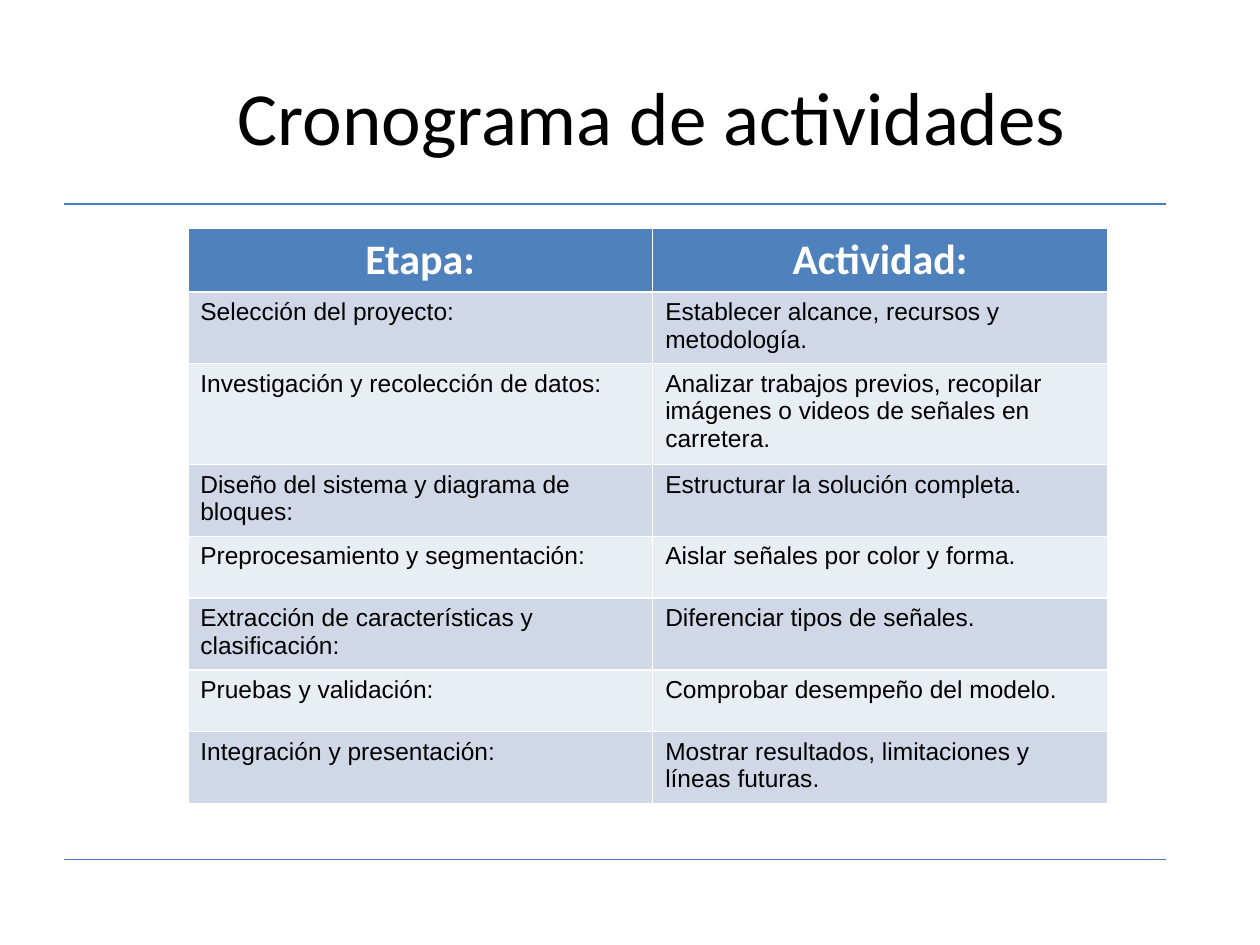
from dataclasses import dataclass

from lxml import etree
from pptx import Presentation, util as u
from pptx.dml.color import RGBColor
from pptx.enum import shapes, text
from pptx.oxml.ns import qn

# Content: stage, activity, number of text lines in the row
TITLE = "Cronograma de actividades"
HEADER = ("Etapa:", "Actividad:")
STAGES = [
    ("Selección del proyecto:", "Establecer alcance, recursos y metodología.", 2),
    ("Investigación y recolección de datos:",
     "Analizar trabajos previos, recopilar imágenes o videos de señales en carretera.", 3),
    ("Diseño del sistema y diagrama de bloques:", "Estructurar la solución completa.", 2),
    ("Preprocesamiento y segmentación:", "Aislar señales por color y forma.", 1),
    ("Extracción de características y clasificación:", "Diferenciar tipos de señales.", 2),
    ("Pruebas y validación:", "Comprobar desempeño del modelo.", 1),
    ("Integración y presentación:", "Mostrar resultados, limitaciones y líneas futuras.", 2),
]


@dataclass(frozen=True)
class Theme:
    heading_font: str = "Calibri"
    body_font: str = "Arial"
    title_size: float = 42.9
    header_size: float = 24
    body_size: float = 14
    black: str = "000000"
    white: str = "FFFFFF"
    rule: str = "4A7DBA"
    header_fill: str = "4F81BD"
    bands: tuple = ("D0D8E8", "E9EDF4")


THEME = Theme()

# Layout in inches
TITLE_BOX = (0.67, 0.29, 9, 1.25)
RULE_LEFT, RULE_RIGHT = 0.51, 9.25
RULE_TOPS = (1.62, 6.82)
TABLE_LEFT, TABLE_TOP = 1.49, 1.81
COLUMN_WIDTHS = (3.69, 3.61)
HEADER_HEIGHT = 0.5
HEIGHT_BY_LINES = {1: 0.49, 2: 0.57, 3: 0.8}


def style_text(frame, font, size, color, bold=False, align=text.PP_ALIGN.LEFT):
    for paragraph in frame.paragraphs:
        paragraph.alignment = align
        for run in paragraph.runs:
            run.font.name = font
            run.font.size = u.Pt(size)
            run.font.bold = bold
            run.font.color.rgb = RGBColor.from_string(color)


def add_rule(slide, top):
    rule = slide.shapes.add_connector(
        shapes.MSO_CONNECTOR.STRAIGHT,
        u.Inches(RULE_LEFT), u.Inches(top), u.Inches(RULE_RIGHT), u.Inches(top))
    rule.line.color.rgb = RGBColor.from_string(THEME.rule)
    rule.line.width = u.Pt(0.75)
    etree.SubElement(rule._element.spPr, qn("a:effectLst"))


def add_title(slide):
    title = slide.shapes.title
    title.left, title.top, title.width, title.height = map(u.Inches, TITLE_BOX)
    frame = title.text_frame
    frame.text = TITLE
    frame.auto_size = text.MSO_AUTO_SIZE.NONE
    frame.vertical_anchor = text.MSO_ANCHOR.MIDDLE
    style_text(frame, THEME.heading_font, THEME.title_size, THEME.black,
               align=text.PP_ALIGN.CENTER)


def add_schedule(slide):
    heights = [HEADER_HEIGHT] + [HEIGHT_BY_LINES[lines] for *_, lines in STAGES]
    rows = [HEADER] + [stage[:2] for stage in STAGES]
    table = slide.shapes.add_table(
        len(rows), len(HEADER), u.Inches(TABLE_LEFT), u.Inches(TABLE_TOP),
        u.Inches(sum(COLUMN_WIDTHS)), u.Inches(sum(heights))).table
    for column, width in zip(table.columns, COLUMN_WIDTHS):
        column.width = u.Inches(width)

    for index, (row, height, values) in enumerate(zip(table.rows, heights, rows)):
        row.height = u.Inches(height)
        is_header = index == 0
        fill = THEME.header_fill if is_header else THEME.bands[(index - 1) % 2]
        for cell, value in zip(row.cells, values):
            cell.fill.solid()
            cell.fill.fore_color.rgb = RGBColor.from_string(fill)
            cell.text_frame.text = value
            if is_header:
                style_text(cell.text_frame, THEME.heading_font, THEME.header_size,
                           THEME.white, bold=True, align=text.PP_ALIGN.CENTER)
            else:
                style_text(cell.text_frame, THEME.body_font, THEME.body_size, THEME.black)


def main():
    presentation = Presentation()
    presentation.slide_width, presentation.slide_height = u.Inches(10), u.Inches(7.5)
    slide = presentation.slides.add_slide(presentation.slide_layouts[5])
    for top in RULE_TOPS:
        add_rule(slide, top)
    add_title(slide)
    add_schedule(slide)
    presentation.save("out.pptx")


if __name__ == "__main__":
    main()
